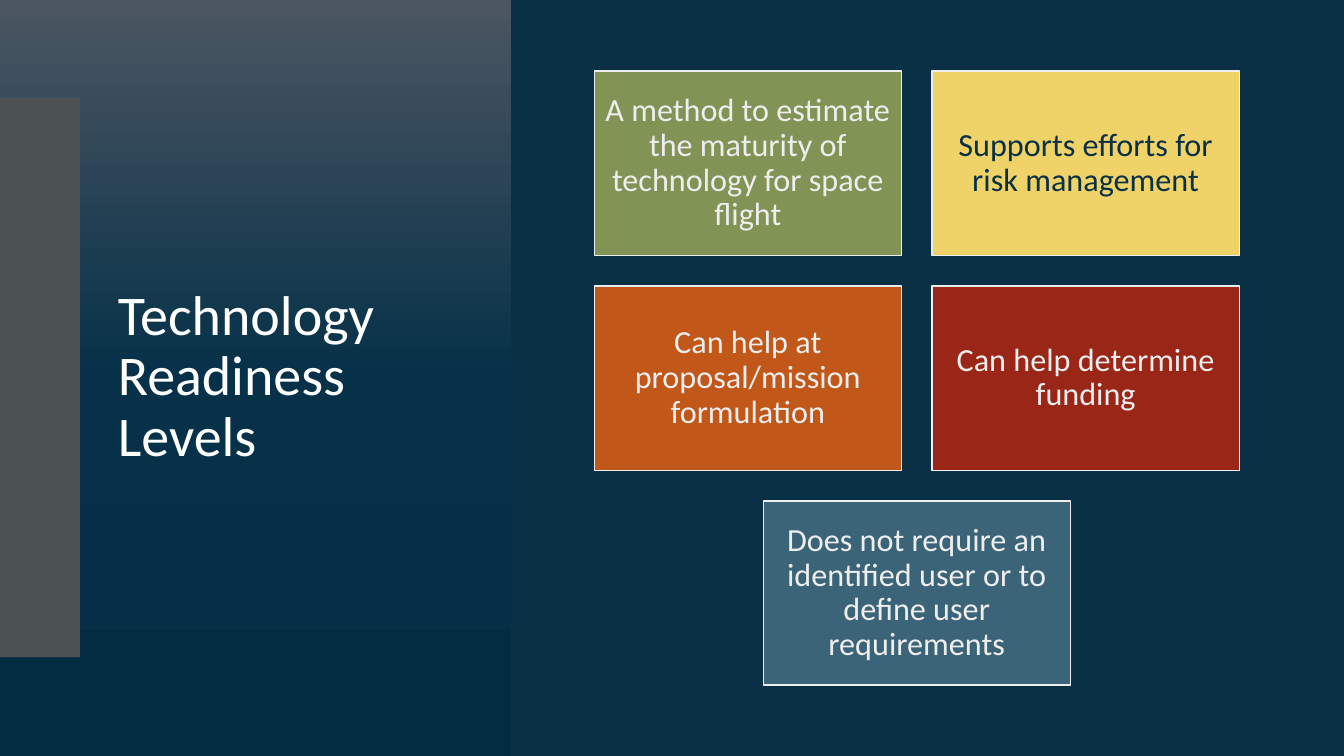
from copy import deepcopy

from pptx import Presentation
from pptx.dml.color import RGBColor
from pptx.enum.shapes import MSO_SHAPE as Shape
from pptx.enum.text import MSO_ANCHOR as Anchor, PP_ALIGN as Align
from pptx.oxml.ns import qn
from pptx.util import Pt

COLORS = {
    "navy": "093045", "white": "FFFFFF", "light": "EEEEEE", "slate": "4C5254",
    "green": "829356", "yellow": "EFD369", "orange": "C2571A",
    "red": "9A2617", "blue": "3C6478",
    "fade_top": "4B5662", "fade_middle": "063148", "fade_bottom": "032C43",
}

# Card grid: two columns, with a short last row centred
COLUMNS = 2
CARD_WIDTH, CARD_HEIGHT, GAP = 219.4, 131.6, 21.9
GRID_LEFT, GRID_TOP = 424.6, 50.8
CARDS = [
    ("A method to estimate the maturity of technology for space flight", "green", "light"),
    ("Supports efforts for risk management", "yellow", "navy"),
    ("Can help at proposal/mission formulation", "orange", "light"),
    ("Can help determine funding", "red", "light"),
    ("Does not require an identified user or to define user requirements", "blue", "light"),
]


def rgb(name):
    return RGBColor.from_string(COLORS[name])


def write(shape, text, size, color, align=Align.LEFT, inset=7.2):
    frame = shape.text_frame
    frame.word_wrap = True
    frame.vertical_anchor = Anchor.MIDDLE
    frame.margin_left = frame.margin_right = Pt(inset)
    frame.margin_top = frame.margin_bottom = Pt(inset)
    paragraph = frame.paragraphs[0]
    paragraph.text = text
    paragraph.alignment = align
    paragraph.line_spacing = 0.9
    font = paragraph.font
    font.name, font.size = "Calibri", Pt(size)
    font.color.rgb = rgb(color)


def add_rect(slide, left, top, width, height, fill=None, line=None):
    rect = slide.shapes.add_shape(
        Shape.RECTANGLE, Pt(left), Pt(top), Pt(width), Pt(height))
    rect.shadow.inherit = False
    if fill:
        rect.fill.solid()
        rect.fill.fore_color.rgb = rgb(fill)
    if line:
        rect.line.color.rgb = rgb(line)
        rect.line.width = Pt(1)
    else:
        rect.line.fill.background()
    return rect


def fade_down(rect, stops):
    rect.fill.gradient()
    rect.fill.gradient_angle = 270
    # The default gradient has two stops; add the missing ones
    stop_list = next(rect.element.spPr.iter(qn("a:gsLst")))
    while len(stop_list) < len(stops):
        stop_list.append(deepcopy(stop_list[0]))
    for stop, (position, color) in zip(rect.fill.gradient_stops, stops):
        stop.position = position
        stop.color.rgb = rgb(color)


def add_cards(slide):
    for index, (text, fill, color) in enumerate(CARDS):
        row, column = divmod(index, COLUMNS)
        in_row = min(COLUMNS, len(CARDS) - row * COLUMNS)
        column += (COLUMNS - in_row) / 2
        card = add_rect(slide, GRID_LEFT + column * (CARD_WIDTH + GAP),
                        GRID_TOP + row * (CARD_HEIGHT + GAP),
                        CARD_WIDTH, CARD_HEIGHT, fill, "light")
        write(card, text, size=23, color=color, align=Align.CENTER)


def main():
    deck = Presentation()
    deck.slide_width, deck.slide_height = Pt(960), Pt(540)
    slide = deck.slides.add_slide(deck.slide_layouts[6])
    slide.background.fill.solid()
    slide.background.fill.fore_color.rgb = rgb("navy")

    # Left panel with title and side bar
    panel = add_rect(slide, 0, 0, 365, 540)
    fade_down(panel, [(0, "fade_top"), (0.5, "fade_middle"), (1, "fade_bottom")])
    title = slide.shapes.add_textbox(Pt(77.2), Pt(70), Pt(247), Pt(399.6))
    write(title, "Technology Readiness Levels", size=40, color="white")
    add_rect(slide, 0, 70, 57, 399.6, "slate")

    # Statements on the right
    add_cards(slide)
    deck.save("out.pptx")


if __name__ == "__main__":
    main()
